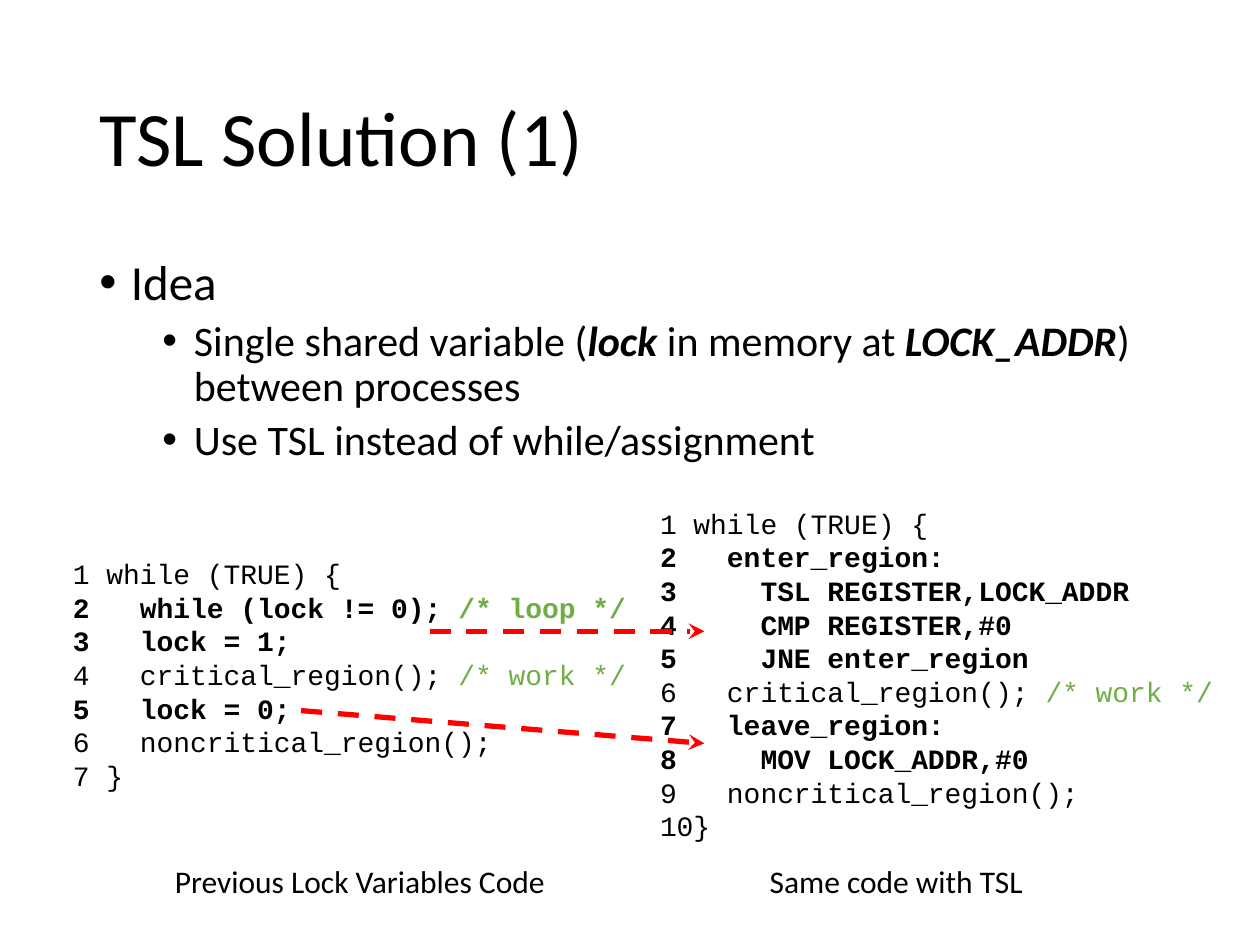
from dataclasses import dataclass

import pptx
import pptx.dml.color
import pptx.enum.dml
import pptx.enum.shapes
import pptx.enum.text
import pptx.oxml.ns
import pptx.util
from lxml import etree

Inches = pptx.util.Inches
Pt = pptx.util.Pt
RGBColor = pptx.dml.color.RGBColor
qn = pptx.oxml.ns.qn

BLACK = RGBColor(0x00, 0x00, 0x00)
GREEN = RGBColor(0x70, 0xAD, 0x47)
RED = RGBColor(0xFF, 0x00, 0x00)
BODY_FONT = "Calibri"
CODE_FONT = "Courier New"


@dataclass(frozen=True)
class Run:
    text: str
    bold: bool = False
    italic: bool = False
    color: RGBColor = BLACK


@dataclass(frozen=True)
class Line:
    runs: tuple[Run, ...]
    size: float
    font: str = BODY_FONT
    line_spacing: float | None = None
    space_before: float = 0
    bullet_indent: float | None = None


@dataclass(frozen=True)
class Box:
    left: float
    top: float
    width: float
    height: float
    lines: tuple[Line, ...]
    anchor: pptx.enum.text.MSO_ANCHOR = pptx.enum.text.MSO_ANCHOR.TOP


@dataclass(frozen=True)
class Arrow:
    start: tuple[float, float]
    end: tuple[float, float]


def code(text: str, bold: bool = False, comment: str = "") -> Line:
    runs = (Run(text, bold),)
    if comment:
        runs += (Run(comment, bold, color=GREEN),)
    return Line(runs, 16, CODE_FONT)


def bullet(size: float, indent: float, space_before: float, *runs: Run) -> Line:
    return Line(runs, size, BODY_FONT, 0.9, space_before, indent)


def caption(text: str) -> tuple[Line, ...]:
    return (Line((Run(text),), 18),)


TITLE = Box(0.69, 0.4, 8.62, 1.45,
            (Line((Run("TSL Solution (1)"),), 44, line_spacing=0.9),),
            pptx.enum.text.MSO_ANCHOR.MIDDLE)

IDEA = Box(0.69, 2, 8.62, 4.76, (
    bullet(28, 0.25, 0, Run("Idea")),
    bullet(24, 0.75, 5,
           Run("Single shared variable ("), Run("lock", True, True),
           Run(" in memory at "), Run("LOCK_ADDR", True, True),
           Run(") between processes")),
    bullet(24, 0.75, 5, Run("Use TSL instead of while/assignment")),
))

LOCK_CODE = Box(0.48, 4.37, 4.79, 1.99, (
    code("1 while (TRUE) {"),
    code("2   while (lock != 0); ", True, "/* loop */"),
    code("3   lock = 1;", True),
    code("4   critical_region(); ", comment="/* work */"),
    code("5   lock = 0;", True),
    code("6   noncritical_region();"),
    code("7 }"),
))

TSL_CODE = Box(5.14, 3.97, 4.66, 2.79, (
    code("1 while (TRUE) {"),
    code("2   enter_region:", True),
    code("3     TSL REGISTER,LOCK_ADDR", True),
    code("4     CMP REGISTER,#0", True),
    code("5     JNE enter_region", True),
    code("6   critical_region(); ", comment="/* work */"),
    code("7   leave_region:", True),
    code("8     MOV LOCK_ADDR,#0", True),
    code("9   noncritical_region();"),
    code("10}"),
))

ARROWS = (Arrow((2.39, 5.64), (5.59, 5.9)), Arrow((3.41, 5.01), (5.59, 5.01)))

CAPTIONS = (
    Box(1.29, 6.79, 3.17, 0.4, caption("Previous Lock Variables Code")),
    Box(6.01, 6.79, 2.24, 0.4, caption("Same code with TSL")),
)


def add_bullet(paragraph, indent: float) -> None:
    properties = paragraph._p.get_or_add_pPr()
    properties.set("marL", str(Inches(indent)))
    properties.set("indent", str(Inches(-0.25)))
    bullet_color = etree.SubElement(properties, qn("a:buClr"))
    etree.SubElement(bullet_color, qn("a:srgbClr"), val=str(BLACK))
    etree.SubElement(properties, qn("a:buFont"), typeface="Arial")
    etree.SubElement(properties, qn("a:buChar"), char="•")


def draw_box(slide, box: Box) -> None:
    shape = slide.shapes.add_textbox(Inches(box.left), Inches(box.top),
                                     Inches(box.width), Inches(box.height))
    frame = shape.text_frame
    frame.word_wrap = True
    frame.vertical_anchor = box.anchor
    for index, line in enumerate(box.lines):
        paragraph = frame.add_paragraph() if index else frame.paragraphs[0]
        if line.bullet_indent is not None:
            add_bullet(paragraph, line.bullet_indent)
        if line.line_spacing:
            paragraph.line_spacing = line.line_spacing
        if line.space_before:
            paragraph.space_before = Pt(line.space_before)
        for part in line.runs:
            run = paragraph.add_run()
            run.text = part.text
            run.font.name = line.font
            run.font.size = Pt(line.size)
            run.font.bold = part.bold
            run.font.italic = part.italic
            run.font.color.rgb = part.color


def draw_arrow(slide, arrow: Arrow) -> None:
    connector = slide.shapes.add_connector(
        pptx.enum.shapes.MSO_CONNECTOR.STRAIGHT,
        *(Inches(value) for value in arrow.start + arrow.end))
    connector.line.color.rgb = RED
    connector.line.width = Pt(3)
    connector.line.dash_style = pptx.enum.dml.MSO_LINE.DASH
    etree.SubElement(connector.line._get_or_add_ln(), qn("a:tailEnd"), type="stealth")
    etree.SubElement(connector._element.spPr, qn("a:effectLst"))


def main() -> None:
    presentation = pptx.Presentation()
    presentation.slide_width = Inches(10)
    presentation.slide_height = Inches(7.5)
    slide = presentation.slides.add_slide(presentation.slide_layouts[6])

    # Title, idea and the two code listings
    for box in (TITLE, IDEA, LOCK_CODE, TSL_CODE):
        draw_box(slide, box)

    # Arrows from the old code to its replacement
    for arrow in ARROWS:
        draw_arrow(slide, arrow)

    # Captions under the listings
    for box in CAPTIONS:
        draw_box(slide, box)

    presentation.save("out.pptx")


if __name__ == "__main__":
    main()
